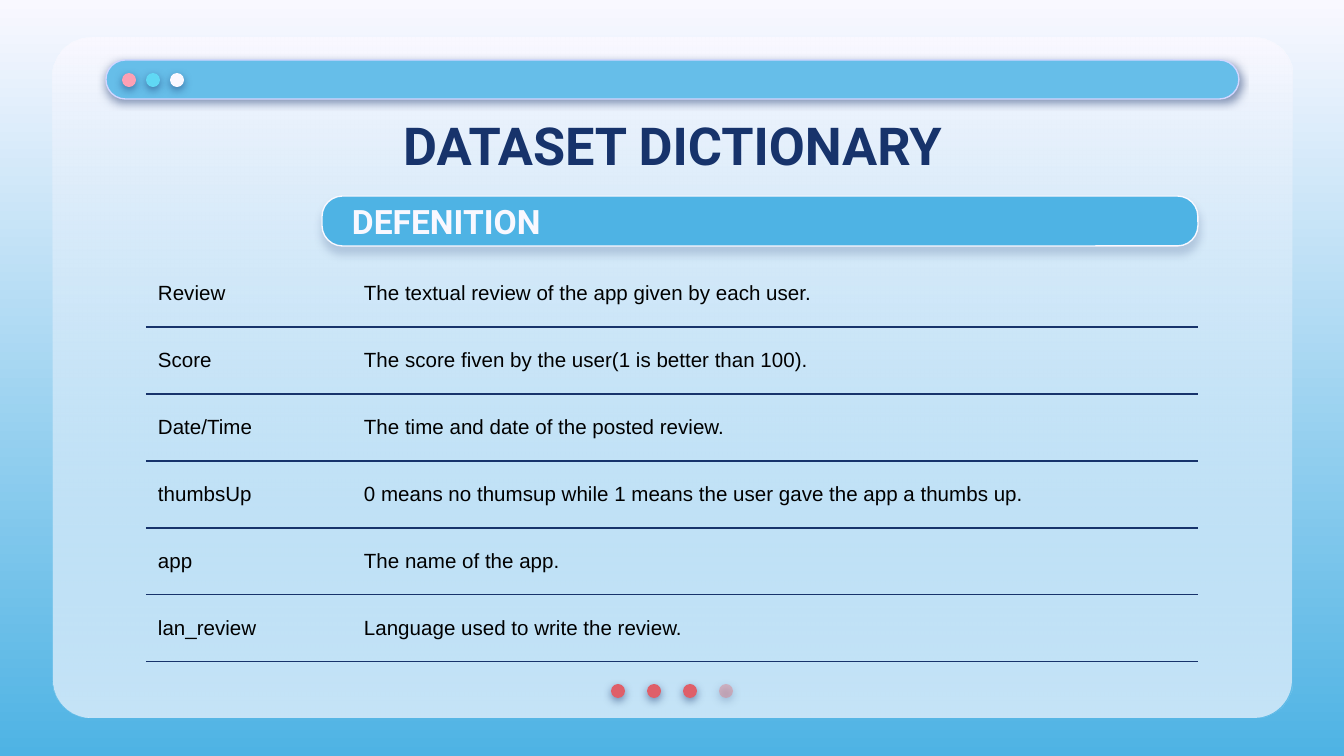
from lxml.etree import SubElement
from pptx import Presentation
from pptx.dml.color import RGBColor
from pptx.enum.shapes import MSO_SHAPE
from pptx.enum.text import MSO_ANCHOR, PP_ALIGN
from pptx.oxml import parse_xml
from pptx.oxml.ns import nsdecls, qn
from pptx.util import Pt

PX = 9144000 / 1344
COLORS = {
    "navy": "17336B", "white": "F9F8FF", "blue": "4EB3E4", "sky": "66BEE9",
    "lilac": "D2D6FF", "pink": "FDA0B4", "cyan": "60D8F4", "red": "DF5F69",
    "faded": "E27B83", "black": "000000",
}
ROWS = [
    ("Review", "The textual review of the app given by each user."),
    ("Score", "The score fiven by the user(1 is better than 100)."),
    ("Date/Time", "The time and date of the posted review."),
    ("thumbsUp", "0 means no thumsup while 1 means the user gave the app a thumbs up."),
    ("app", "The name of the app."),
    ("lan_review", "Language used to write the review."),
]


def px(n):
    """Turn px into EMU."""
    return round(n * PX)


def rgb(name):
    """Look up a named colour."""
    return RGBColor.from_string(COLORS[name])


def set_alpha(parent, percent):
    """Set the opacity of the last colour under an element."""
    clr = parent.findall(".//" + qn("a:srgbClr"))[-1]
    SubElement(clr, qn("a:alpha"), val=str(percent * 1000))


def set_gradient(fill, *names):
    """Fill from top to bottom with two colours."""
    fill.gradient()
    fill.gradient_angle = 270
    for stop, name in zip(fill.gradient_stops, names):
        stop.color.rgb = rgb(name)


def add_shadow(sp, alpha, dist):
    """Add a soft shadow below a shape."""
    effects = sp._element.spPr.find(qn("a:effectLst"))
    shadow = SubElement(effects, qn("a:outerShdw"), blurRad=str(Pt(4.5)),
                        dist=str(Pt(dist)), dir="5400000", algn="bl", rotWithShape="0")
    SubElement(shadow, qn("a:srgbClr"), val=COLORS["navy"])
    set_alpha(shadow, alpha)


def add_shape(s, kind, box, fill, line=None, adj=None):
    """Add a filled shape with an optional outline."""
    sp = s.shapes.add_shape(kind, *map(px, box))
    sp.shadow.inherit = False
    sp.fill.solid()
    sp.fill.fore_color.rgb = rgb(fill)
    if line:
        sp.line.color.rgb = rgb(line)
        sp.line.width = Pt(0.75)
    else:
        sp.line.fill.background()
    if adj is not None:
        sp.adjustments[0] = adj
    return sp


def add_text(tf, text, size, font, color, bold, margins):
    """Write one run, centred vertically."""
    tf.word_wrap = True
    p = tf.paragraphs[0]
    r = p.add_run()
    r.text = text
    r.font.size, r.font.name, r.font.bold = Pt(size), font, bold
    r.font.color.rgb = rgb(color)
    tf_margins = zip(("left", "top", "right", "bottom"), margins)
    return p, {f"margin_{side}": px(n) for side, n in tf_margins}


def add_dots(s, x, y, step, names):
    """Add a row of evenly spaced dots."""
    for i, name in enumerate(names):
        sp = add_shape(s, MSO_SHAPE.OVAL, (x + i * step, y, 14, 14), name)
        add_shadow(sp, 50, 1.5)
        if name == "faded":
            set_alpha(sp._element.spPr.find(qn("a:solidFill")), 44)


def add_window(s, x, y, w, h):
    """Draw the panel with its top bar and page dots."""
    box = (x, y, w, h)
    add_shape(s, MSO_SHAPE.ROUNDED_RECTANGLE, box, "white", adj=0.056)
    glass = add_shape(s, MSO_SHAPE.ROUNDED_RECTANGLE, box, "white", adj=0.056)
    set_gradient(glass.fill, "white", "sky")
    set_alpha(glass._element.spPr.find(qn("a:gradFill")), 35)
    add_dots(s, x + 558, y + 646, 36, ["red"] * 3 + ["faded"])
    bar = add_shape(s, MSO_SHAPE.ROUNDED_RECTANGLE, (x + 53, y + 22, w - 106, 39),
                    "sky", "lilac", 0.5)
    add_shadow(bar, 50, 1.5)
    add_dots(s, x + 69, y + 35, 24, ["pink", "cyan", "white"])


def add_title(s, x, y, w, h):
    """Write the centred slide title."""
    tf = s.shapes.add_textbox(*map(px, (x, y, w, h))).text_frame
    p, margins = add_text(tf, "DATASET DICTIONARY", 28, "Roboto", "navy", True, [13] * 4)
    p.alignment = PP_ALIGN.CENTER
    tf.vertical_anchor = MSO_ANCHOR.MIDDLE
    for side, n in margins.items():
        setattr(tf, side, n)


def set_borders(cell, top, bottom):
    """Draw only the wanted horizontal borders of a cell."""
    tcPr = cell._tc.get_or_add_tcPr()
    sides = {"lnL": False, "lnR": False, "lnT": top, "lnB": bottom}
    for i, (tag, shown) in enumerate(sides.items()):
        paint = (f'<a:solidFill><a:srgbClr val="{COLORS["navy"]}"/></a:solidFill>'
                 if shown else "<a:noFill/>")
        tcPr.insert(i, parse_xml(
            f'<a:{tag} {nsdecls("a")} w="{Pt(0.75)}">{paint}</a:{tag}>'))


def fill_cell(cell, text, header):
    """Write and style one table cell."""
    cell.fill.background()
    cell.vertical_anchor = MSO_ANCHOR.MIDDLE
    if not text:
        return
    style = ((18, "Roboto", "white", True, (0, 13, 0, 13)) if header
             else (11, "Arial", "black", False, (12, 6, 12, 6)))
    margins = add_text(cell.text_frame, text, *style)[1]
    for side, n in margins.items():
        setattr(cell, side, n)


def add_dictionary(s, x, y, w, h):
    """Draw the header pill and the table of terms."""
    term_w, head_h = 206, 74
    row_h = (h - head_h) // len(ROWS)
    pill = add_shape(s, MSO_SHAPE.ROUNDED_RECTANGLE,
                     (x + 176, y + 10, w - 176, 50), "blue", "white", 0.411)
    add_shadow(pill, 18, 3.8)
    cells = [("", "DEFENITION")] + ROWS
    table = s.shapes.add_table(len(cells), 2, *map(px, (x, y, w, h))).table
    table.first_row = table.horz_banding = False
    for col, width in zip(table.columns, (term_w, w - term_w)):
        col.width = px(width)
    for i, texts in enumerate(cells):
        table.rows[i].height = px(row_h if i else head_h)
        for j, text in enumerate(texts):
            cell = table.cell(i, j)
            fill_cell(cell, text, i == 0)
            set_borders(cell, i > 1, i > 0)


def main():
    """Build and save the slide."""
    prs = Presentation()
    prs.slide_width, prs.slide_height = px(1344), px(756)
    s = prs.slides.add_slide(prs.slide_layouts[6])
    set_gradient(s.background.fill, "white", "blue")
    add_window(s, 53, 38, 1239, 680)
    add_dictionary(s, 146, 186, 1052, 476)
    add_title(s, 106, 102, 1133, 85)
    prs.save("out.pptx")


if __name__ == "__main__":
    main()
